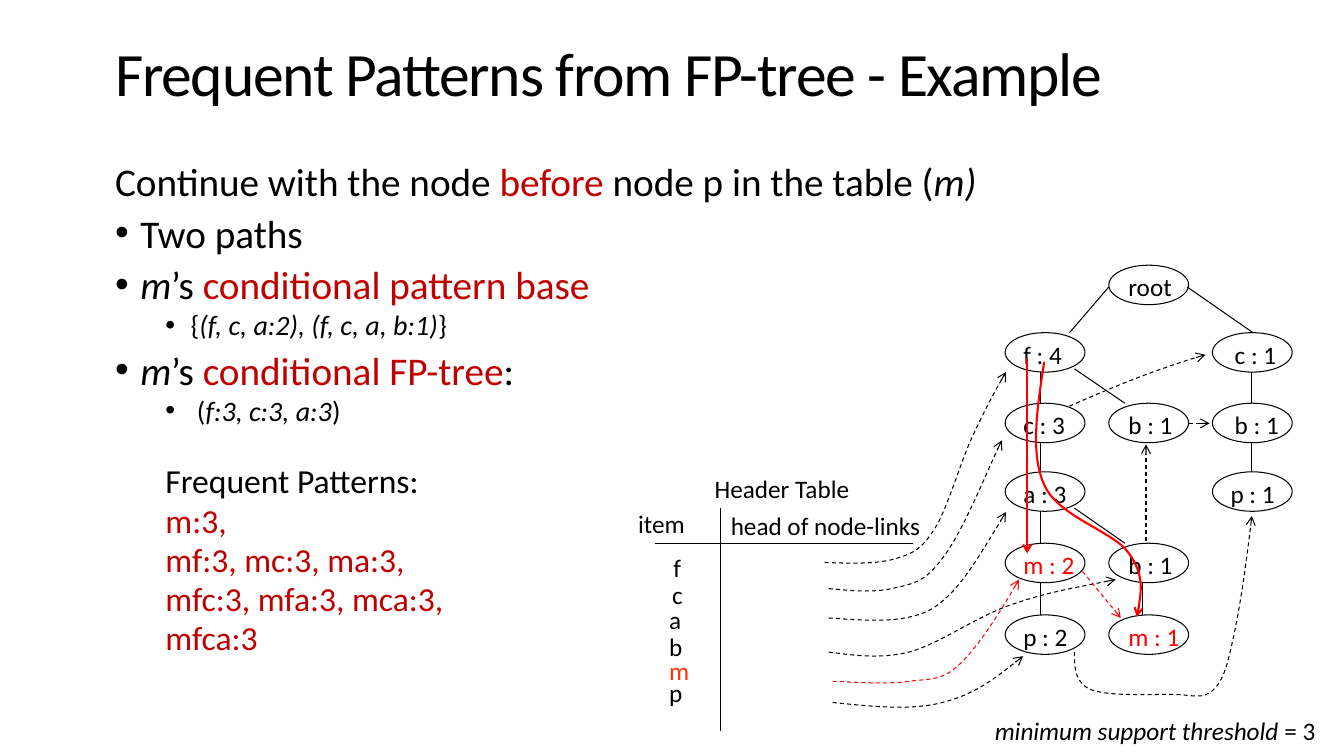
from dataclasses import dataclass

from lxml.etree import SubElement
from pptx import Presentation
from pptx.dml.color import RGBColor
from pptx.enum.dml import MSO_LINE
from pptx.enum.shapes import MSO_CONNECTOR, MSO_SHAPE
from pptx.enum.text import MSO_ANCHOR, MSO_AUTO_SIZE, PP_ALIGN
from pptx.oxml.ns import qn
from pptx.util import Pt

BLACK = RGBColor(0x00, 0x00, 0x00)
DARK_RED = RGBColor(0xC0, 0x00, 0x00)
RED = RGBColor(0xFF, 0x00, 0x00)
ORANGE_RED = RGBColor(0xFF, 0x33, 0x00)
FONT = "Calibri"
LABEL_HEIGHT = 21.6
NODE_WIDTH, NODE_HEIGHT = 57, 28.2
COLUMNS = (718, 792, 866)
ROWS = (189.4, 237.6, 288, 337, 388, 439.2)


@dataclass(frozen=True)
class Span:
    text: str
    color: RGBColor = BLACK
    italic: bool = False


@dataclass(frozen=True)
class Line:
    """A body paragraph; lengths in points."""
    spans: tuple[Span, ...]
    size: float
    level: int = 0
    bullet: bool = False
    margin: float = 0
    before: float = 10


@dataclass(frozen=True)
class Node:
    text: str
    column: int
    row: int
    color: RGBColor = BLACK
    inset: float = 14


@dataclass(frozen=True)
class Link:
    """An arrow: two points make it straight, more are Bézier points."""
    points: tuple[tuple[float, float], ...]
    color: RGBColor = BLACK
    width: float = 0.75
    dashed: bool = True


def topic(kind: str, after: str = "") -> Line:
    spans = (Span("m", italic=True), Span("’s "), Span(kind, DARK_RED))
    return Line(spans + ((Span(after),) if after else ()), 28, bullet=True, margin=18)


def detail(before: str, items: str, after: str) -> Line:
    return Line((Span(before), Span(items, italic=True), Span(after)), 20, 1, True, 54, 5)


def pattern(text: str) -> Line:
    return Line((Span(text, DARK_RED),), 24, 1, margin=36, before=5)


BODY = (
    Line((Span("Continue with the node "), Span("before", DARK_RED),
          Span(" node p in the table ("), Span("m)", italic=True)), 28, before=0),
    Line((Span("Two paths"),), 28, bullet=True, margin=18),
    topic("conditional pattern base"),
    detail("{", "(f, c, a:2), (f, c, a, b:1)", "}"),
    topic("conditional FP-tree", ":"),
    detail(" (", "f:3, c:3, a:3", ")"),
    Line((Span("Frequent Patterns:"),), 24, 1, margin=36, before=29.5),
    *map(pattern, ("m:3,", "mf:3, mc:3, ma:3,", "mfc:3, mfa:3, mca:3,", "mfca:3")),
)
NODES = (
    Node("root", 1, 0), Node("f : 4", 0, 1, inset=13), Node("c : 1", 2, 1, inset=16),
    Node("c : 3", 0, 2, inset=13), Node("b : 1", 1, 2), Node("b : 1", 2, 2, inset=16),
    Node("a : 3", 0, 3, inset=13), Node("p : 1", 2, 3, inset=13),
    Node("m : 2", 0, 4, RED, 13), Node("b : 1", 1, 4),
    Node("p : 2", 0, 5, inset=13), Node("m : 1", 1, 5, RED),
)
# Stem x and the row above each vertical edge
STEMS = ((743, 1), (743, 2), (743, 3), (743, 4), (816, 4), (894.2, 1), (894.2, 2))
SLANTED_EDGES = (
    ((792, 205), (764, 237.6)), ((848, 205), (895, 237.6)),
    ((767.5, 263.5), (803.5, 288)), ((767.5, 363), (803.5, 388)),
)
HEADER_RULES = (((468, 388), (652.3, 388)), ((514.8, 363), (514.8, 522)))
HEADER_ITEMS = (
    ("f", 481, 394.6), ("c", 480.2, 414), ("a", 478, 432),
    ("b", 478, 450.7), ("m", 478, 468), ("p", 478, 483.8),
)
LINKS = (
    Link(((589, 401.8), (607.7, 402.5), (627, 403), (640, 399), (653, 395), (658, 392.4),
          (667.5, 378), (677, 363), (686, 330), (695, 311), (703.5, 293), (710.6, 279.4),
          (718.6, 265.7))),
    Link(((592, 420.5), (607.7, 422), (623.5, 423.4), (637, 420.5), (651, 417), (660, 417),
          (673, 399), (687, 381.6), (708.5, 328.3), (715.7, 314.6))),
    Link(((592, 441.4), (612, 442.8), (631.4, 444.2), (646.6, 441.4), (661, 438.5),
          (667.4, 435.6), (679.7, 423.4), (692, 410.4), (705, 388), (718.6, 365.8))),
    Link(((592, 465.8), (610, 468), (628, 470.9), (649.4, 465.8), (671, 460), (697, 440.6),
          (722.2, 432), (746.6, 423.4), (771.8, 419), (797, 414))),
    Link(((594.7, 486.7), (614.2, 487.4), (634.3, 488.9), (649.4, 486.7), (664.6, 484.6),
          (672.5, 486.7), (685.4, 474.5), (698.4, 462.2), (713.5, 438.5), (727.9, 414)), RED),
    Link(((594.7, 501.8), (622.8, 504.7), (650.9, 507.6), (673.2, 501.8), (696.2, 496),
          (713.5, 482.4), (730.8, 468.7))),
    Link(((763.9, 290.2), (781.9, 282.2), (799.2, 275), (815.8, 268.6), (831.6, 262.8),
          (846, 257.8), (861, 253.4))),
    Link(((773.3, 408.2), (800.6, 441.4)), RED),
    Link(((767.5, 465.8), (767.5, 476.6), (767.5, 487.4), (779, 492.5), (790.6, 497.5),
          (822.2, 496), (836.6, 496), (851, 496), (859.7, 500.4), (866.9, 492.5),
          (874.8, 485.3), (877.7, 470.9), (882, 450.7), (886.3, 429.8), (890.6, 399.6),
          (894.2, 368.6))),
    Link(((818.6, 386.6), (818.6, 317.5))),
    Link(((848.9, 302.4), (864, 302.4))),
    Link(((745.9, 258.5), (740.9, 291.6), (735.8, 324), (745.9, 346.3), (756, 369.4),
          (795.6, 379.4), (806.4, 395.3), (817.2, 410.4), (815, 425.5), (812.2, 440.6)),
         RED, 1.5, False),
    Link(((733.7, 255.6), (733.7, 395.3)), RED, 1.5, False),
)


def place(shape, left: float, top: float, width: float, height: float) -> None:
    shape.left, shape.top, shape.width, shape.height = map(Pt, (left, top, width, height))


def add_spans(paragraph, spans: tuple[Span, ...], size: float) -> None:
    for span in spans:
        run = paragraph.add_run()
        run.text = span.text
        run.font.name, run.font.size = FONT, Pt(size)
        run.font.italic, run.font.color.rgb = span.italic, span.color


def add_label(slide, left: float, top: float, width: float, *spans: Span) -> None:
    frame = slide.shapes.add_textbox(*map(Pt, (left, top, width, LABEL_HEIGHT))).text_frame
    frame.word_wrap = True
    frame.margin_left = frame.margin_top = frame.margin_right = frame.margin_bottom = 0
    add_spans(frame.paragraphs[0], spans, 18)


def add_straight(slide, start: tuple[float, float], end: tuple[float, float]):
    connector = slide.shapes.add_connector(MSO_CONNECTOR.STRAIGHT, *map(Pt, start + end))
    connector.line.color.rgb, connector.line.width = BLACK, Pt(0.75)
    SubElement(connector.element.spPr, qn("a:effectLst"))
    return connector


def add_curve(slide, points: tuple[tuple[float, float], ...]):
    """Draw a freeform whose points after the first are cubic Bézier triples."""
    start, *rest = [(Pt(x), Pt(y)) for x, y in points]
    builder = slide.shapes.build_freeform(*start)
    builder.add_line_segments(rest, close=False)
    shape = builder.convert_to_shape()
    segments = list(shape.element.iter(qn("a:lnTo")))
    outline = segments[0].getparent()
    for first in range(0, len(segments), 3):
        curve = SubElement(outline, qn("a:cubicBezTo"))
        for segment in segments[first:first + 3]:
            curve.append(segment[0])
            outline.remove(segment)
    shape.fill.background()
    shape.shadow.inherit = False
    return shape


def add_link(slide, link: Link) -> None:
    straight = len(link.points) == 2
    shape = add_straight(slide, *link.points) if straight else add_curve(slide, link.points)
    shape.line.color.rgb, shape.line.width = link.color, Pt(link.width)
    if link.dashed:
        shape.line.dash_style = MSO_LINE.DASH
    SubElement(shape.element.spPr.find(qn("a:ln")), qn("a:tailEnd"), type="arrow")


def add_node(slide, node: Node) -> None:
    left, top = COLUMNS[node.column], ROWS[node.row]
    oval = slide.shapes.add_shape(MSO_SHAPE.OVAL, *map(Pt, (left, top, NODE_WIDTH, NODE_HEIGHT)))
    oval.fill.background()
    oval.line.color.rgb, oval.line.width = BLACK, Pt(0.75)
    oval.shadow.inherit = False
    add_label(slide, left + node.inset, top + 4.5, 45, Span(node.text, node.color))


def fill_title(title) -> None:
    place(title, 75, 2.2, 828, 104.4)
    frame = title.text_frame
    frame.auto_size, frame.vertical_anchor = MSO_AUTO_SIZE.NONE, MSO_ANCHOR.MIDDLE
    paragraph = frame.paragraphs[0]
    paragraph.alignment, paragraph.line_spacing = PP_ALIGN.LEFT, 0.9
    add_spans(paragraph, (Span("Frequent Patterns from FP-tree - Example"),), 44)
    paragraph.runs[0].font._element.set("spc", "-90")


def fill_body(body) -> None:
    place(body, 75, 115.2, 653, 382.3)
    frame = body.text_frame
    frame.auto_size = MSO_AUTO_SIZE.NONE
    for index, line in enumerate(BODY):
        paragraph = frame.add_paragraph() if index else frame.paragraphs[0]
        paragraph.level = line.level
        properties = paragraph._p.get_or_add_pPr()
        properties.set("marL", str(Pt(line.margin)))
        properties.set("indent", str(Pt(-18 if line.bullet else 0)))
        if line.bullet:
            SubElement(properties, qn("a:buChar"), char="•")
        else:
            SubElement(properties, qn("a:buNone"))
        paragraph.line_spacing, paragraph.space_before = 0.8, Pt(line.before)
        add_spans(paragraph, line.spans, line.size)


def main() -> None:
    presentation = Presentation()
    presentation.slide_width, presentation.slide_height = Pt(960), Pt(540)
    slide = presentation.slides.add_slide(presentation.slide_layouts[1])
    fill_title(slide.shapes.title)
    fill_body(slide.placeholders[1])
    add_label(slide, 710.6, 511.2, 240,
              Span("minimum support threshold", italic=True), Span(" = 3"))
    add_label(slide, 510.5, 338.4, 109, Span("Header Table"))
    add_label(slide, 455.8, 363, 55, Span("item"))
    add_label(slide, 522, 364.5, 154, Span("head of node-links"))
    for text, left, top in HEADER_ITEMS:
        add_label(slide, left, top, 16.6, Span(text, ORANGE_RED if text == "m" else BLACK))
    stems = [((x, ROWS[row] + NODE_HEIGHT), (x, ROWS[row + 1])) for x, row in STEMS]
    for start, end in (*HEADER_RULES, *SLANTED_EDGES, *stems):
        add_straight(slide, start, end)
    for node in NODES:
        add_node(slide, node)
    for link in LINKS:
        add_link(slide, link)
    presentation.save("out.pptx")


if __name__ == "__main__":
    main()
